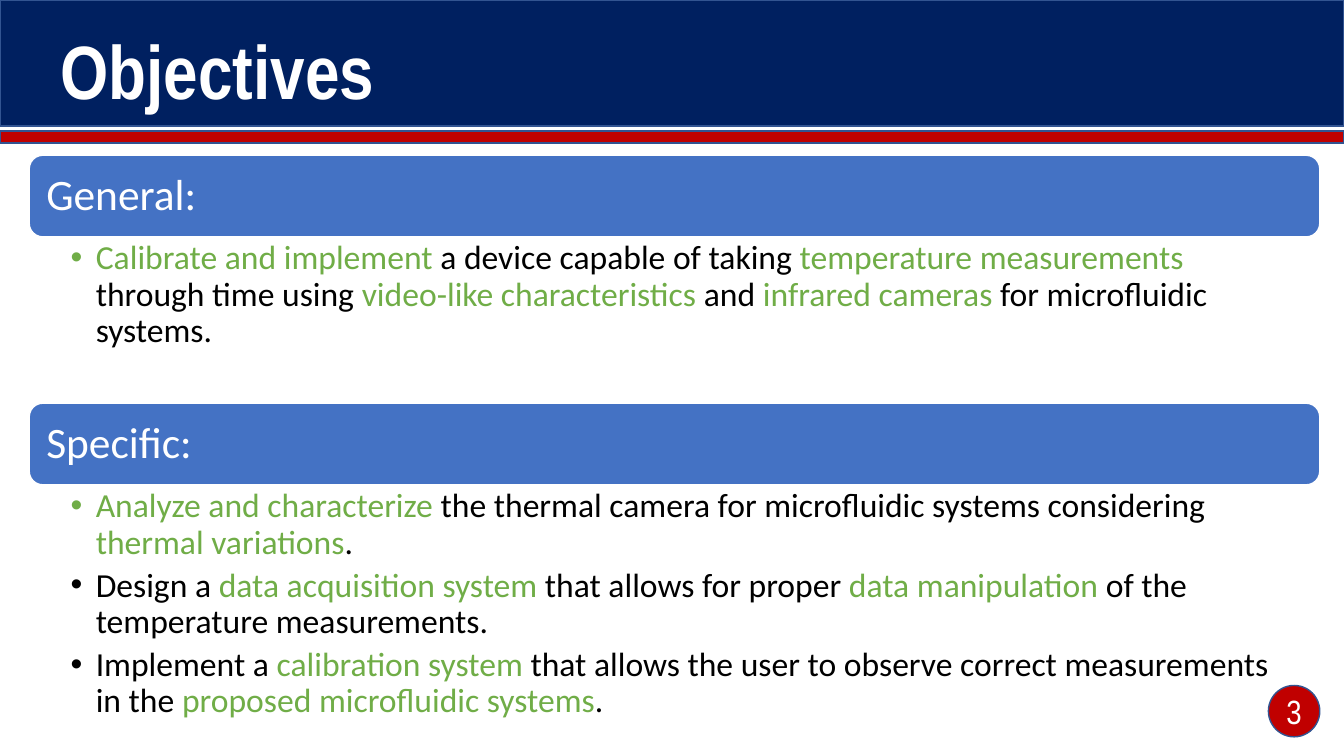
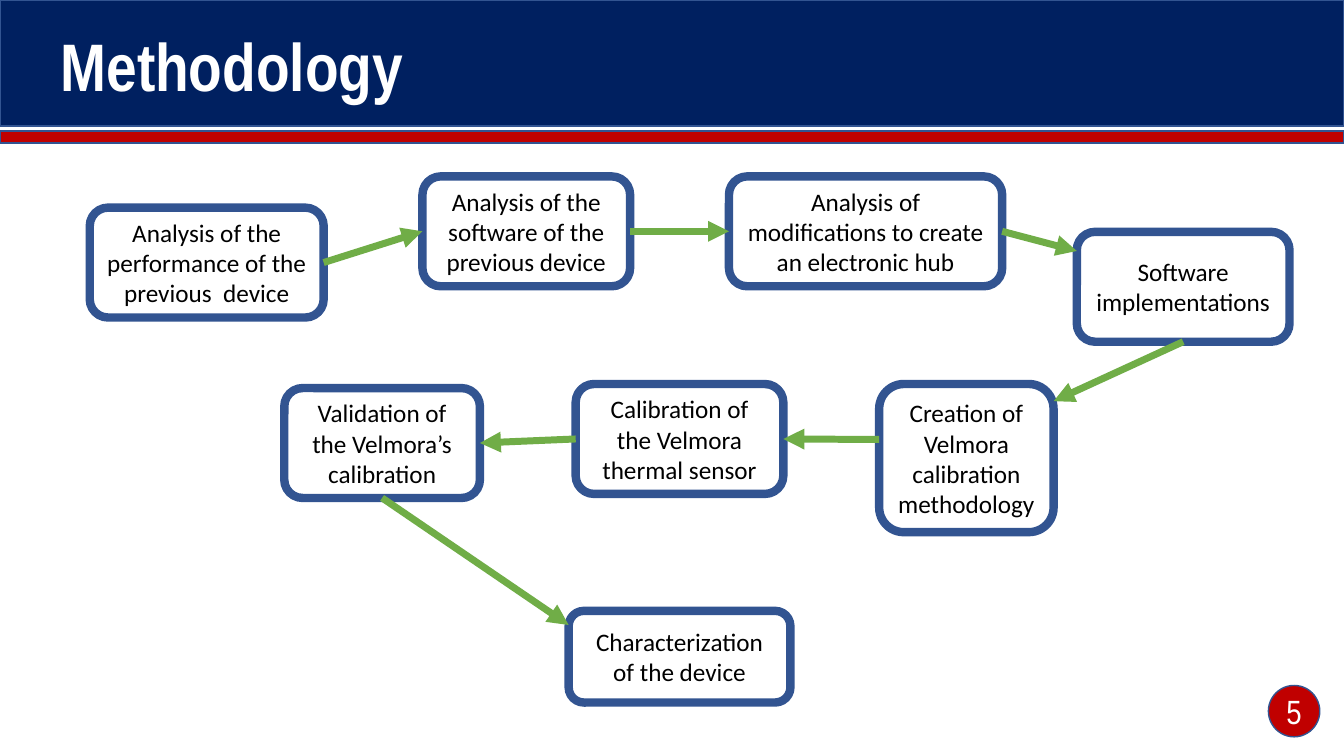
"""Build the objectives and methodology slides."""
from lxml import etree
from pptx import Presentation
from pptx.dml.color import RGBColor
from pptx.enum.shapes import MSO_CONNECTOR, MSO_SHAPE
from pptx.enum.text import MSO_ANCHOR, MSO_AUTO_SIZE, PP_ALIGN
from pptx.oxml.ns import qn
from pptx.util import Inches, Pt

RECT, ROUND, OVAL = MSO_SHAPE.RECTANGLE, MSO_SHAPE.ROUNDED_RECTANGLE, MSO_SHAPE.OVAL
STRAIGHT = MSO_CONNECTOR.STRAIGHT
TOP, MIDDLE = MSO_ANCHOR.TOP, MSO_ANCHOR.MIDDLE
LEFT, CENTER = PP_ALIGN.LEFT, PP_ALIGN.CENTER
FIXED = MSO_AUTO_SIZE.NONE
L, B, R = 1, 2, 3

HUES = {"navy": "002060", "red": "C00000", "edge": "325491", "bar": "4472C4",
        "green": "70AD47", "black": "000000", "white": "FFFFFF"}
RGB = {name: RGBColor.from_string(code) for name, code in HUES.items()}
FONTS = {
    "title": {"name": "Arial Narrow", "bold": True},
    "badge": {"name": "Arial Narrow", "size": Pt(24)},
    "bar": {"name": "Calibri", "size": Pt(31)},
    "list": {"name": "Calibri", "size": Pt(24)},
    "step": {"name": "Calibri", "size": Pt(18)},
}
TITLE = {"left": Inches(0.5), "top": Inches(0.19), "width": Inches(11.49)}
HEAD = {"alignment": LEFT, "line_spacing": 0.9, "space_after": Pt(10.85)}
ITEM = {"line_spacing": 0.9, "space_before": Pt(0), "space_after": Pt(4.8)}
FRAME = {"auto_size": FIXED, "vertical_anchor": TOP, "word_wrap": True}
INSETS = {"margin_left": Inches(0.41), "margin_right": Inches(0.24),
          "margin_top": Inches(0.04), "margin_bottom": Inches(0.04)}


def write(para, text, font, hue):
    """Add a run in one of the named fonts."""
    run = para.add_run()
    run.text = text
    for key, value in FONTS[font].items():
        setattr(run.font, key, value)
    run.font.color.rgb = RGB[hue]


def block(slide, kind, place, fill, edge, width=1):
    """Draw a preset shape without a shadow."""
    shape = slide.shapes.add_shape(kind, *map(Inches, place))
    shape.shadow.inherit = False
    if fill:
        shape.fill.solid()
        shape.fill.fore_color.rgb = RGB[fill]
    else:
        shape.fill.background()
    shape.line.color.rgb = RGB[edge]
    shape.line.width = Pt(width)
    shape.text_frame.word_wrap = True
    shape.text_frame.vertical_anchor = MIDDLE
    return shape


prs = Presentation()
prs.slide_width, prs.slide_height = Inches(13.33), Inches(7.5)
goals = prs.slides.add_slide(prs.slide_layouts[3])
method = prs.slides.add_slide(prs.slide_layouts[5])

BANDS = [(0, 1.25, "navy"), (1.3, 0.12, "red")]
for spot, (top, high, hue) in enumerate(BANDS, 2):
    band = block(goals, RECT, (0, top, 13.33, high), hue, "edge")
    prs.slide_master.shapes.element.insert(spot, band.element)

HEADS = [(goals, "Objectives", 54, 1.01, "3"), (method, "Methodology", 48, 0.91, "5")]
for slide, text, size, high, num in HEADS:
    title = slide.shapes.title
    for key, value in {**TITLE, "height": Inches(high)}.items():
        setattr(title, key, value)
    for key, value in FRAME.items():
        setattr(title.text_frame, key, value)
    para = title.text_frame.paragraphs[0]
    para.alignment = LEFT
    write(para, text, "title", "white")
    para.runs[0].font.size = Pt(size)
    badge = block(slide, OVAL, (12.58, 6.8, 0.51, 0.51), "red", "edge")
    for side in INSETS:
        setattr(badge.text_frame, side, 0)
    para = badge.text_frame.paragraphs[0]
    para.alignment = CENTER
    write(para, num, "badge", "white")

PARTS = [
    ("General:", 1.54, 1.65, [
        "*Calibrate and implement *a device capable of taking *temperature measurements *"
        "through time using *video-like characteristics *and *infrared cameras *"
        "for microfluidic systems."]),
    ("Specific:", 4, 2.46, [
        "*Analyze and characterize *the thermal camera for microfluidic systems "
        "considering *thermal variations*.",
        "Design a *data acquisition system *that allows for proper *data manipulation *"
        "of the temperature measurements.",
        "Implement a *calibration system *that allows the user to observe correct "
        "measurements in the *proposed microfluidic systems*."]),
]
for slot, (head, top, high, items) in enumerate(PARTS, 1):
    bar = block(goals, ROUND, (0.29, top, 12.8, 0.81), "bar", "white")
    bar.text_frame.margin_left = Inches(0.13)
    para = bar.text_frame.paragraphs[0]
    for key, value in HEAD.items():
        setattr(para, key, value)
    write(para, head, "bar", "white")
    body = goals.placeholders[slot]
    body.left, body.top = Inches(0.29), Inches(top + 0.81)
    body.width, body.height = Inches(12.8), Inches(high)
    frame = body.text_frame
    for key, value in {**FRAME, **INSETS}.items():
        setattr(frame, key, value)
    for index, item in enumerate(items):
        para = frame.add_paragraph() if index else frame.paragraphs[0]
        for key, value in ITEM.items():
            setattr(para, key, value)
        props = para._p.get_or_add_pPr()
        props.set("marL", str(Inches(0.25)))
        props.set("indent", str(Inches(-0.25)))
        for turn, piece in enumerate(item.split("*")):
            if piece:
                write(para, piece, "list", "green" if turn % 2 else "black")

STEPS = [
    ("Analysis of the performance of the previous  device", 0.89, 2.06, 2.32, 1.09),
    ("Analysis of the software of the previous device", 4.19, 1.75, 2.06, 1.09),
    ("Analysis of modifications to create an electronic hub", 7.23, 1.75, 2.71, 1.09),
    ("Software implementations", 10.68, 2.3, 2.11, 1.09),
    ("Creation of Velmora calibration methodology", 8.72, 3.81, 1.73, 1.47),
    ("Calibration of the Velmora thermal sensor", 5.71, 3.81, 2.06, 1.09),
    ("Validation of the Velmora’s calibration", 2.82, 3.85, 1.94, 1.09),
    ("Characterization of the device", 5.64, 6.06, 2.2, 0.91),
]
boxes = []
for text, *place in STEPS:
    box = block(method, ROUND, place, None, "edge", 6)
    para = box.text_frame.paragraphs[0]
    para.alignment = CENTER
    write(para, text, "step", "black")
    boxes.append(box)

LINKS = [(R, L, None), (R, L, None), (R, None, (10.68, 2.49)), (B, None, (10.45, 3.98)),
         (None, R, (8.72, 4.36)), (L, R, None), (B, None, (5.64, 6.2))]
for start, goal, (out, into, point) in zip(boxes, boxes[1:], LINKS):
    x, y = map(Inches, point or (0, 0))
    link = method.shapes.add_connector(STRAIGHT, x, y, x, y)
    if out is not None:
        link.begin_connect(start, out)
    if into is not None:
        link.end_connect(goal, into)
    link.line.color.rgb = RGB["green"]
    link.line.width = Pt(5)
    etree.SubElement(link.line._get_or_add_ln(), qn("a:tailEnd"), type="triangle")
    etree.SubElement(link._element.spPr, qn("a:effectLst"))

prs.save("out.pptx")
